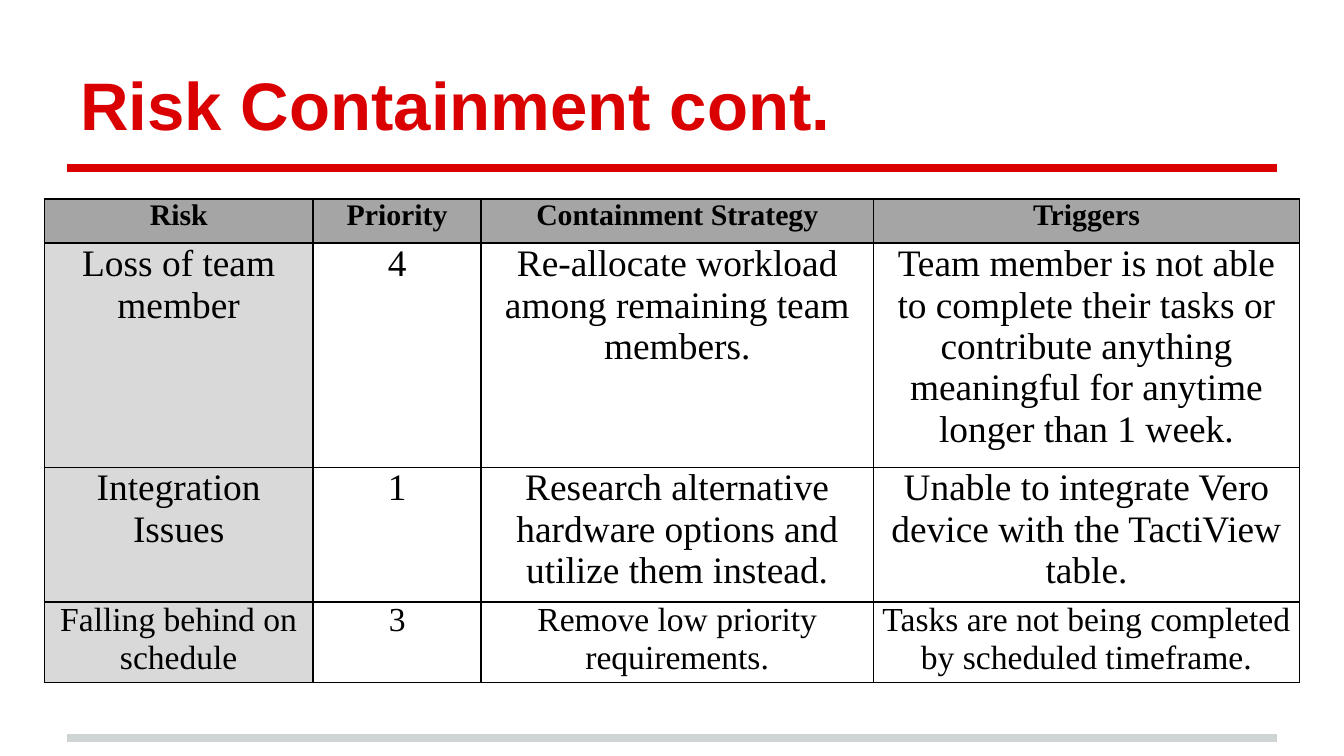
from lxml import etree
from pptx import Presentation
from pptx.dml.color import RGBColor
from pptx.enum.shapes import MSO_CONNECTOR
from pptx.enum.text import MSO_ANCHOR, PP_ALIGN
from pptx.oxml.ns import qn
from pptx.util import Inches, Pt

RED = RGBColor(0xDA, 0x00, 0x02)
PALE_GRAY = RGBColor(0xCF, 0xD4, 0xD4)
HEADER_GRAY = RGBColor(0xA5, 0xA5, 0xA5)
RISK_GRAY = RGBColor(0xD9, 0xD9, 0xD9)
BLACK = RGBColor(0x00, 0x00, 0x00)


def add_run(paragraph, text, font_name, size, color, bold):
    run = paragraph.add_run()
    run.text = text
    run.font.name = font_name
    run.font.size = Pt(size)
    run.font.color.rgb = color
    run.font.bold = bold


def add_borders(cell):
    properties = cell._tc.get_or_add_tcPr()
    for index, side in enumerate(("a:lnL", "a:lnR", "a:lnT", "a:lnB")):
        border = etree.Element(qn(side), w=str(Pt(1)))
        fill = etree.SubElement(border, qn("a:solidFill"))
        etree.SubElement(fill, qn("a:srgbClr"), val=str(BLACK))
        properties.insert(index, border)


prs = Presentation()
prs.slide_width = Inches(10)
prs.slide_height = Inches(10) * 9 // 16
slide = prs.slides.add_slide(prs.slide_layouts[6])

for top, color in ((5.49, PALE_GRAY), (1.25, RED)):
    rule = slide.shapes.add_connector(
        MSO_CONNECTOR.STRAIGHT, Inches(0.5), Inches(top), Inches(9.5), Inches(top))
    rule.line.color.rgb = color
    rule.line.width = Pt(4)
    etree.SubElement(rule._element.spPr, qn("a:effectLst"))

title = slide.shapes.add_textbox(Inches(0.5), Inches(0.23), Inches(9), Inches(0.94)).text_frame
title.word_wrap = True
title.vertical_anchor = MSO_ANCHOR.BOTTOM
title.margin_left = title.margin_right = Inches(0.1)
title.margin_top = title.margin_bottom = Inches(0.1)
add_run(title.paragraphs[0], "Risk Containment cont.", "Arial", 36, RED, True)

column_widths = (2, 1.25, 2.92, 3.17)
risk_rows = (
    (0.33, 16, ("Risk", "Priority", "Containment Strategy", "Triggers")),
    (0.92, 20, (
        "Loss of team member", "4",
        "Re-allocate workload among remaining team members.",
        "Team member is not able to complete their tasks or contribute "
        "anything meaningful for anytime longer than 1 week.")),
    (0.46, 20, (
        "Integration Issues", "1",
        "Research alternative hardware options and utilize them instead.",
        "Unable to integrate Vero device with the TactiView table.")),
    (0.46, 18, (
        "Falling behind on schedule", "3",
        "Remove low priority requirements.",
        "Tasks are not being completed by scheduled timeframe.")),
)

risk_table = slide.shapes.add_table(
    len(risk_rows), len(column_widths), Inches(0.33), Inches(1.48),
    Inches(sum(column_widths)), Inches(sum(row[0] for row in risk_rows))).table
for column, width in zip(risk_table.columns, column_widths):
    column.width = Inches(width)

for row_index, (height, size, texts) in enumerate(risk_rows):
    risk_table.rows[row_index].height = Inches(height)
    is_header = row_index == 0
    for column_index, text in enumerate(texts):
        cell = risk_table.cell(row_index, column_index)
        cell.margin_left = cell.margin_right = Inches(0.06)
        cell.margin_top = cell.margin_bottom = Inches(0)
        if is_header or column_index == 0:
            cell.fill.solid()
            cell.fill.fore_color.rgb = HEADER_GRAY if is_header else RISK_GRAY
        else:
            cell.fill.background()
        add_borders(cell)
        paragraph = cell.text_frame.paragraphs[0]
        paragraph.alignment = PP_ALIGN.CENTER
        add_run(paragraph, text, "Times New Roman", size, BLACK, is_header)

prs.save("out.pptx")
